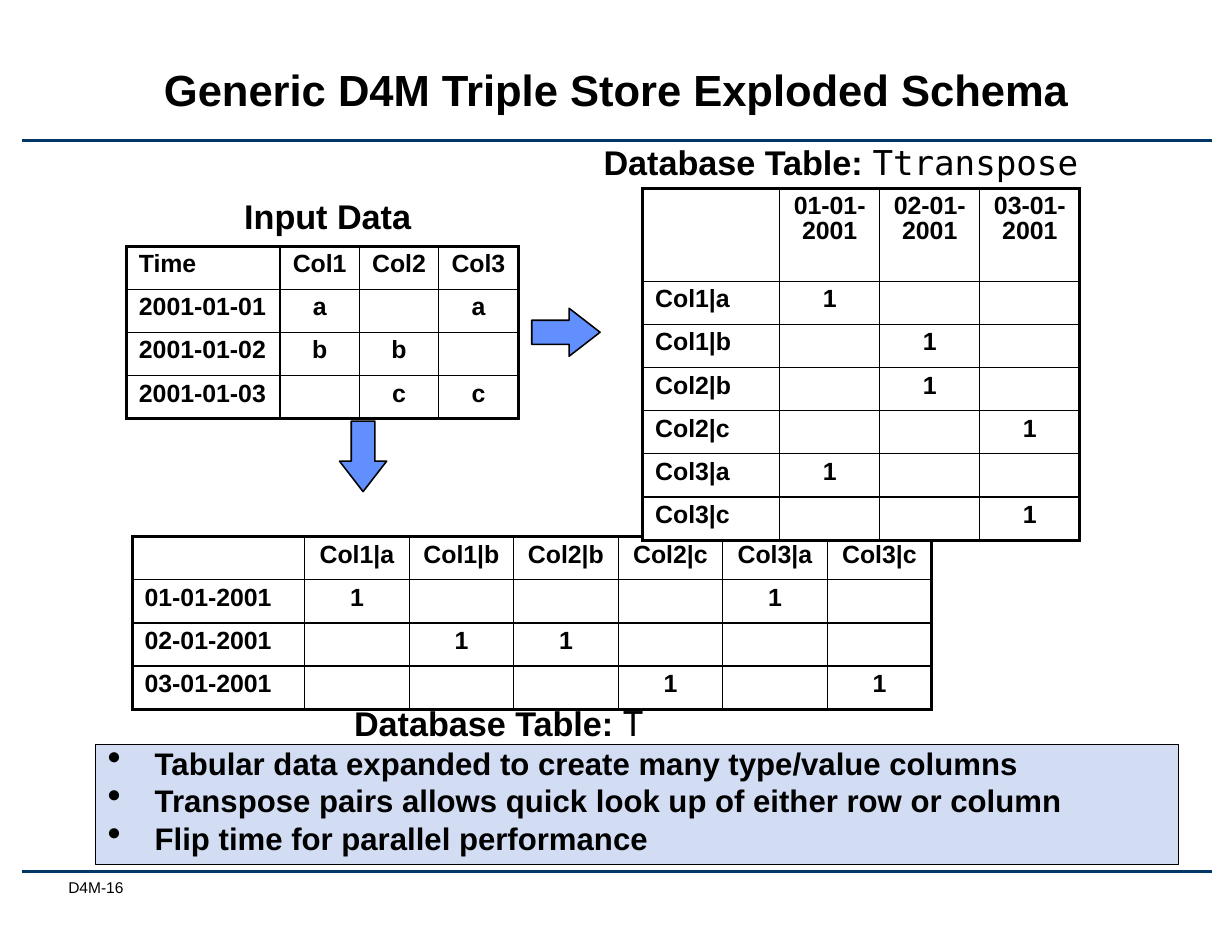
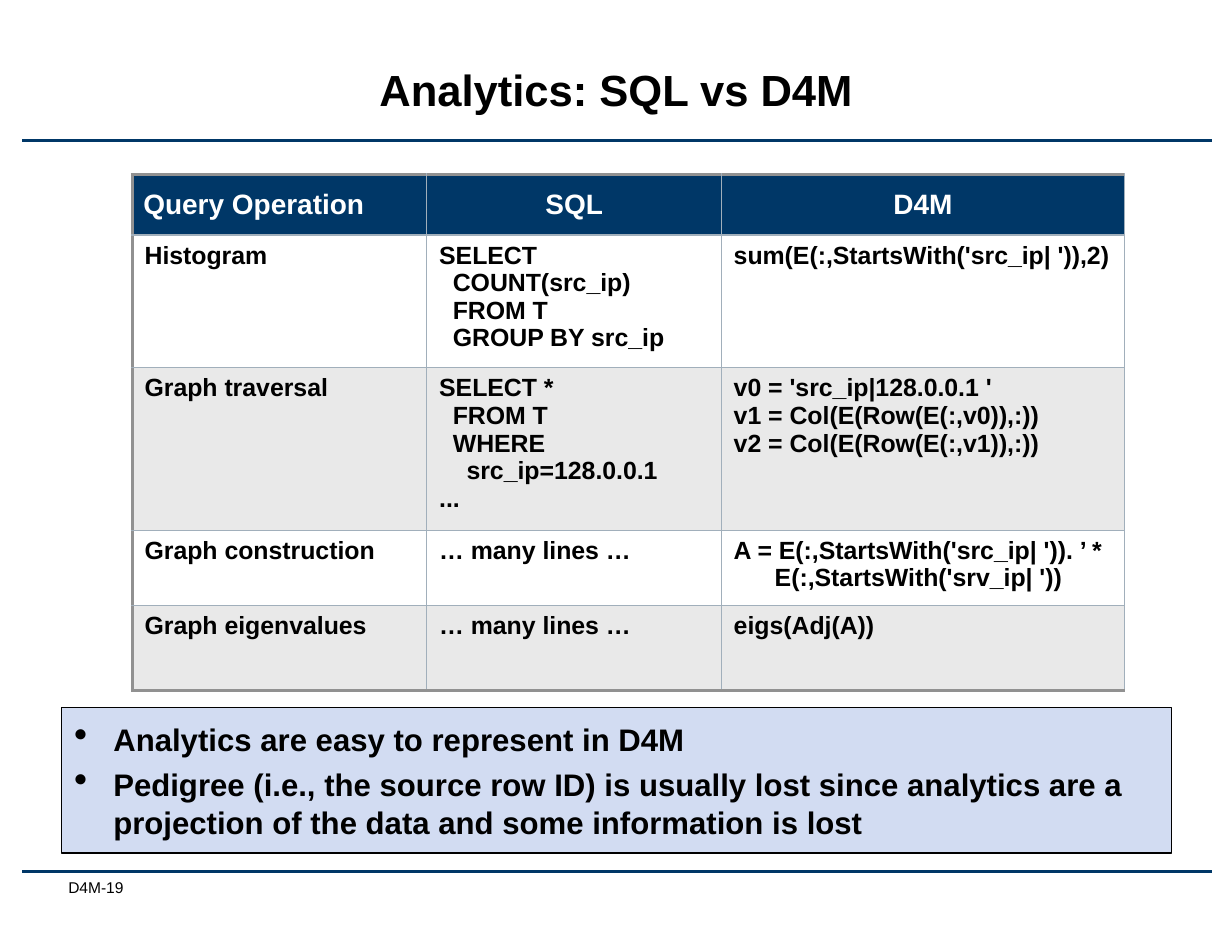
"""Build two slides on the D4M exploded schema and its analytics."""
from dataclasses import dataclass
from typing import NamedTuple

from lxml.etree import SubElement
from pptx import Presentation
from pptx.dml.color import RGBColor
from pptx.enum.shapes import MSO_CONNECTOR as Link, MSO_SHAPE as Preset
from pptx.enum.text import MSO_ANCHOR as Anchor, PP_ALIGN as Align
from pptx.oxml.ns import qn
from pptx.util import Cm, Pt

COLORS = {
    "navy": "003767", "black": "000000", "white": "FFFFFF", "panel": "D2DCF2",
    "arrow": "618FFD", "stripe": "E9E9E9", "rule": "A1AFBB", "frame": "919191",
}
SANS, MONO = "Arial", "DejaVu Sans Mono"
SIDES = ("L", "R", "T", "B")
STEP = 0.31


class Area(NamedTuple):
    left: float
    top: float
    width: float
    height: float

    def lengths(self) -> list:
        return [Cm(value) for value in self]


class Line(NamedTuple):
    text: str
    level: int = 0


class Label(NamedTuple):
    area: Area
    text: str
    code: str = ""


class Arrow(NamedTuple):
    area: Area
    rotation: int = 0


@dataclass
class Panel:
    area: Area
    bullets: list[str]
    indent: float
    border: float
    inset: float
    anchor: Anchor
    spacing: float = 1.0


@dataclass
class Grid:
    left: float
    top: float
    widths: list[float]
    heights: list[float]
    rows: list[tuple]
    rule: str = "black"
    frame: str = "black"
    framed_sides: str = "LRTB"
    spacing: float | None = 0.9
    centred: bool = True
    banded: bool = False


TITLE_AREA = Area(2.87, 0.79, 22.2, 2.57)
FOOTER_AREA = Area(1.4, 19.91, 3.33, 0.69)
RULE_TOPS = (3.18, 19.76)

INPUT_ROWS = [
    ("Time", "Col1", "Col2", "Col3"),
    ("2001-01-01", "a", "", "a"),
    ("2001-01-02", "b", "b", ""),
    ("2001-01-03", "", "c", "c"),
]
QUERY_ROWS = [
    ("Query Operation", "SQL", "D4M"),
    ("Histogram",
     [Line("SELECT"), Line("COUNT(src_ip)", 1), Line("FROM T", 1), Line("GROUP BY src_ip", 1)],
     "sum(E(:,StartsWith('src_ip| ')),2)"),
    ("Graph traversal",
     [Line("SELECT *"), Line("FROM T", 1), Line("WHERE", 1), Line("src_ip=128.0.0.1", 2),
      Line("...")],
     [Line("v0 = 'src_ip|128.0.0.1 '"), Line("v1 = Col(E(Row(E(:,v0)),:))"),
      Line("v2 = Col(E(Row(E(:,v1)),:))")]),
    ("Graph construction", "… many lines …",
     [Line("A = E(:,StartsWith('src_ip| ')). ’ *"), Line("E(:,StartsWith('srv_ip| '))", 3)]),
    ("Graph eigenvalues", "… many lines …", "eigs(Adj(A))"),
]


def explode(rows: list[tuple]) -> list[tuple]:
    """Turn each column and value pair into a column of its own."""
    header, *records = rows
    exploded = []
    for time, *values in records:
        flipped = "-".join(reversed(time.split("-")))
        pairs = {f"{name}|{value}" for name, value in zip(header[1:], values) if value}
        exploded.append((flipped, pairs))
    names = sorted(set().union(*(pairs for _, pairs in exploded)))
    return [("", *names)] + [
        (time, *("1" if name in pairs else "" for name in names)) for time, pairs in exploded
    ]


def rgb(name: str) -> RGBColor:
    """Look up a named colour."""
    return RGBColor.from_string(COLORS[name])


def style_runs(para, size: float, bold: bool = True, color: str = "black") -> None:
    """Format every run of a paragraph."""
    for span in para.runs:
        span.font.name, span.font.size, span.font.bold = SANS, Pt(size), bold
        span.font.color.rgb = rgb(color)


def space_before(para) -> None:
    """Put a quarter of a line above a paragraph."""
    spacing = SubElement(para._p.get_or_add_pPr(), qn("a:spcBef"))
    SubElement(spacing, qn("a:spcPct"), val="25000")


def indent(para, margin: float, first: float = 0) -> None:
    """Set the left margin and first-line indent in centimetres."""
    properties = para._p.get_or_add_pPr()
    properties.set("marL", str(Cm(margin)))
    properties.set("indent", str(Cm(first)))


def set_insets(target, across: float = 0.28, down: float = 0.15) -> None:
    """Set the margins of a text frame or cell."""
    target.margin_left = target.margin_right = Cm(across)
    target.margin_top = target.margin_bottom = Cm(down)


def add_text(page, area: Area, text: str, size: float, bold: bool = True):
    """Add a one-paragraph text box and return its frame."""
    frame = page.shapes.add_textbox(*area.lengths()).text_frame
    frame.word_wrap = True
    set_insets(frame)
    frame.text = text
    style_runs(frame.paragraphs[0], size, bold)
    return frame


def add_page(deck, title: str, number: int):
    """Add a page with title, rules and footer."""
    page = deck.slides.add_slide(deck.slide_layouts[6])
    for top in RULE_TOPS:
        rule = page.shapes.add_connector(Link.STRAIGHT, Cm(0.51), Cm(top), Cm(27.48), Cm(top))
        rule.line.color.rgb, rule.line.width = rgb("navy"), Pt(1.75)
        SubElement(rule._element.spPr, qn("a:effectLst"))
    footer = add_text(page, FOOTER_AREA, f"D4M-{number}", 10, False)
    set_insets(footer, 0, 0)
    footer.margin_left = Cm(0.15)
    heading = add_text(page, TITLE_AREA, title, 28)
    heading.vertical_anchor = Anchor.MIDDLE
    heading.paragraphs[0].alignment = Align.CENTER
    heading.paragraphs[0].line_spacing = Pt(30)
    return page


def add_label(page, label: Label) -> None:
    """Add a table caption with an optional code name."""
    para = add_text(page, label.area, label.text, 22).paragraphs[0]
    if label.code:
        span = para.add_run()
        span.text = label.code
        span.font.name, span.font.size, span.font.bold = MONO, Pt(22), False
        span.font.color.rgb = rgb("black")


def add_filled(page, preset: Preset, area: Area, fill: str, border: float):
    """Add a filled shape with a black outline."""
    shape = page.shapes.add_shape(preset, *area.lengths())
    shape.shadow.inherit = False
    shape.fill.solid()
    shape.fill.fore_color.rgb = rgb(fill)
    shape.line.color.rgb, shape.line.width = rgb("black"), Pt(border)
    return shape


def add_arrow(page, arrow: Arrow) -> None:
    """Add a block arrow."""
    shape = add_filled(page, Preset.DOWN_ARROW, arrow.area, "arrow", 1)
    shape.adjustments[0], shape.adjustments[1] = 0.5, 0.645
    shape.rotation = arrow.rotation


def add_panel(page, panel: Panel) -> None:
    """Add a box of bulleted conclusions."""
    box = add_filled(page, Preset.RECTANGLE, panel.area, "panel", panel.border)
    frame = box.text_frame
    frame.word_wrap, frame.vertical_anchor = True, panel.anchor
    set_insets(frame, 0.28, panel.inset)
    frame.text = "\n".join(panel.bullets)
    for para in frame.paragraphs:
        para.alignment, para.line_spacing = Align.LEFT, panel.spacing
        space_before(para)
        indent(para, panel.indent, -panel.indent)
        properties = para._p.get_or_add_pPr()
        SubElement(properties, qn("a:buSzPct"), val="125000")
        SubElement(properties, qn("a:buChar"), char="•")
        style_runs(para, 20)


def add_border(cell, side: str, color: str, width: float) -> None:
    """Draw one side of a cell."""
    border = SubElement(cell._tc.get_or_add_tcPr(), qn(f"a:ln{side}"), w=str(Pt(width)))
    fill = SubElement(border, qn("a:solidFill"))
    SubElement(fill, qn("a:srgbClr"), val=COLORS[color])


def fill_cell(cell, grid: Grid, row: int, column: int) -> None:
    """Write and format the text and background of a cell."""
    content = grid.rows[row][column]
    lines = [Line(content)] if isinstance(content, str) else content
    heading = grid.banded and row == 0
    set_insets(cell, 0.25 if heading else 0.28)
    cell.vertical_anchor = Anchor.MIDDLE if heading else Anchor.TOP
    cell.fill.solid()
    band = "stripe" if grid.banded and row and row % 2 == 0 else "white"
    cell.fill.fore_color.rgb = rgb("navy" if heading else band)
    cell.text_frame.text = "\n".join(line.text for line in lines)
    for para, line in zip(cell.text_frame.paragraphs, lines):
        if column and (row == 0 or grid.centred):
            para.alignment = Align.CENTER
        if grid.spacing:
            para.line_spacing = grid.spacing
            space_before(para)
        if line.level:
            indent(para, line.level * STEP)
        style_runs(para, 18 if heading else 16, color="white" if heading else "black")
        if not line.text:
            SubElement(para._p, qn("a:endParaRPr"), sz="1600")


def add_grid(page, grid: Grid) -> None:
    """Add a table with a heavy frame and thin inner rules."""
    area = Area(grid.left, grid.top, sum(grid.widths), sum(grid.heights))
    last_row, last_column = len(grid.heights) - 1, len(grid.widths) - 1
    table = page.shapes.add_table(last_row + 1, last_column + 1, *area.lengths()).table
    table.first_row = table.horz_banding = False
    for column, width in zip(table.columns, grid.widths):
        column.width = Cm(width)
    for row, height in zip(table.rows, grid.heights):
        row.height = Cm(height)
    for row in range(last_row + 1):
        for column in range(last_column + 1):
            cell = table.cell(row, column)
            edges = (column == 0, column == last_column, row == 0, row == last_row)
            for side, outer in zip(SIDES, edges):
                heavy = outer and side in grid.framed_sides
                add_border(cell, side, grid.frame if heavy else grid.rule, 2.25 if heavy else 1)
            fill_cell(cell, grid, row, column)


def build_schema(deck) -> None:
    """Build the schema page."""
    page = add_page(deck, "Generic D4M Triple Store Exploded Schema", 16)
    exploded = explode(INPUT_ROWS)
    short_rows = [0.97] + [0.91] * 3
    add_grid(page, Grid(2.87, 5.59, [3.48] + [1.8] * 3, short_rows, INPUT_ROWS))
    add_grid(page, Grid(3, 12.17, [3.91] + [2.37] * 6, short_rows, exploded))
    add_label(page, Label(Area(5.26, 4.29, 4.39, 1.27), "Input Data"))
    add_label(page, Label(Area(7.75, 15.77, 7.72, 1.24), "Database Table: ", "T"))
    add_panel(page, Panel(Area(2.16, 16.89, 24.56, 2.72), [
        "Tabular data expanded to create many type/value columns",
        "Transpose pairs allows quick look up of either row or column",
        "Flip time for parallel performance",
    ], 1.07, 0.75, 0.15, Anchor.TOP, 0.8))
    add_grid(page, Grid(14.58, 4.27, [3.1] + [2.27] * 3, [2.11] + [0.97] * 6,
                        list(zip(*exploded))))
    add_label(page, Label(Area(13.41, 3.05, 11.73, 1.27), "Database Table: ", "Ttranspose"))
    add_arrow(page, Arrow(Area(7.7, 9.55, 1.07, 1.6)))
    add_arrow(page, Arrow(Area(12.29, 6.76, 1.09, 1.55), 270))


def build_analytics(deck) -> None:
    """Build the query comparison page."""
    page = add_page(deck, "Analytics: SQL vs D4M", 19)
    add_grid(page, Grid(3, 3.96, [6.68, 6.68, 9.14], [1.37, 3, 3.68, 1.7, 1.93], QUERY_ROWS,
                        "rule", "frame", "LTB", None, False, True))
    add_panel(page, Panel(Area(1.4, 16.05, 25.17, 3.3), [
        "Analytics are easy to represent in D4M",
        "Pedigree (i.e., the source row ID) is usually lost since analytics are a "
        "projection of the data and some information is lost",
    ], 0.89, 1, 0.13, Anchor.MIDDLE))


def main() -> None:
    """Create and save the deck."""
    deck = Presentation()
    deck.slide_width, deck.slide_height = Cm(27.94), Cm(21.59)
    build_schema(deck)
    build_analytics(deck)
    deck.save("out.pptx")


if __name__ == "__main__":
    main()
